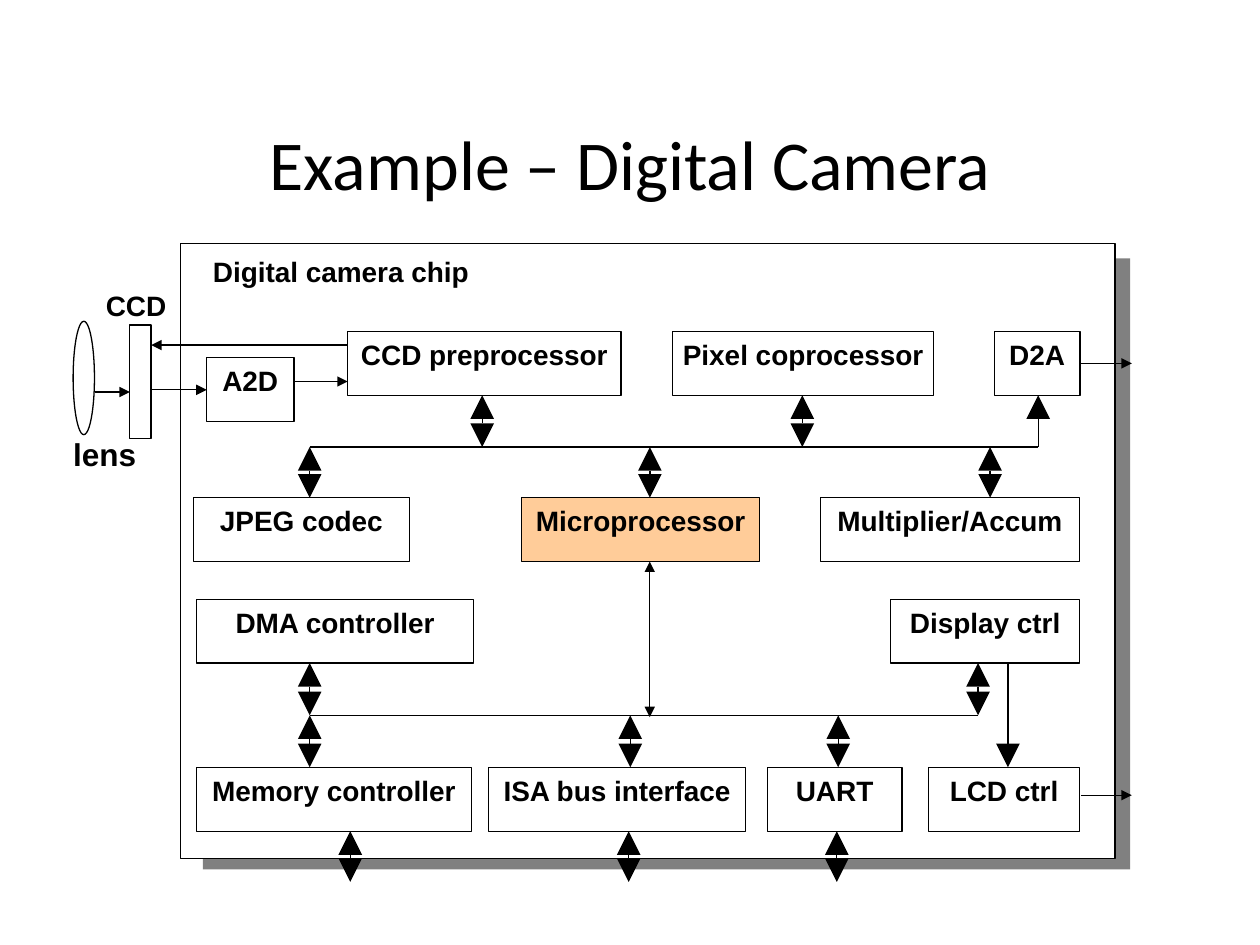
from dataclasses import dataclass

from lxml.etree import SubElement
from pptx import Presentation
from pptx.dml.color import RGBColor
from pptx.enum.shapes import MSO_CONNECTOR as Connector, MSO_SHAPE as Shape
from pptx.enum.text import MSO_ANCHOR as Anchor, PP_ALIGN as Align
from pptx.oxml.ns import qn
from pptx.util import Pt


@dataclass(frozen=True)
class Theme:
    ink: RGBColor = RGBColor(0, 0, 0)
    paper: RGBColor = RGBColor(255, 255, 255)
    shade: RGBColor = RGBColor(0x80, 0x80, 0x80)
    accent: RGBColor = RGBColor(0xFF, 0xCC, 0x99)
    title_font: str = "Calibri"
    label_font: str = "Arial"
    title_size: int = 40
    label_size: int = 16
    lens_size: int = 18
    stroke: float = 0.75


THEME = Theme()

# Vertical rhythm: block rows, and the two buses between them
ROW_1, ROW_2, ROW_3, ROW_4 = 189.4, 284.4, 342.4, 438.5
BLOCK_HEIGHT = 36.5
BUS_1, BUS_2 = 255.5, 408.8
HEAD = 13.5
OUTLET = 504

TITLE = "Example – Digital Camera"
CHIP_SHADOW = (115.9, 147.6, 529.9, 349.2)
CHIP = (103, 139, 534.2, 351.4)
LENS = (41.8, 183.6, 12.2, 64.8)
SENSOR = (74.2, 185.8, 12.2, 64.8)

# name: left, top, width
BLOCKS = {
    "CCD preprocessor": (198.7, ROW_1, 156.2),
    "Pixel coprocessor": (384.5, ROW_1, 149),
    "D2A": (568.1, ROW_1, 49),
    "A2D": (118.1, 204.5, 49.9),
    "JPEG codec": (110.4, ROW_2, 123.7),
    "Microprocessor": (298.1, ROW_2, 136.1),
    "Multiplier/Accum": (468.7, ROW_2, 148.3),
    "DMA controller": (112.3, ROW_3, 158.4),
    "Display ctrl": (509, ROW_3, 108),
    "Memory controller": (112.3, ROW_4, 157),
    "ISA bus interface": (279.2, ROW_4, 146.9),
    "UART": (438.5, ROW_4, 77),
    "LCD ctrl": (530.6, ROW_4, 86.4),
}
FEATURED = "Microprocessor"

# text, left, top, width, height, size
LABELS = [
    ("Digital camera chip", 121.7, 145.6, 147, 19.4, THEME.label_size),
    ("CCD", 60.5, 164.9, 39, 19.4, THEME.label_size),
    ("lens", 41.8, 248.6, 36, 21.6, THEME.lens_size),
]

# left, right, height
BUSES = [(177, 593.3, BUS_1), (177, 558.7, BUS_2)]

# top, bottom, positions along the row
TWO_WAY_LINKS = [
    (ROW_1 + BLOCK_HEIGHT, BUS_1, [275.6, 458.5]),
    (BUS_1, ROW_2, [177, 371.4, 565.8]),
    (ROW_3 + BLOCK_HEIGHT, BUS_2, [177, 558.9]),
    (BUS_2, ROW_4, [177, 360.2, 479]),
    (ROW_4 + BLOCK_HEIGHT, OUTLET, [200.2, 359.3, 478.2]),
]

# start, end, two-way
SIGNALS = [
    ((168.3, 218), (198.7, 218), False),
    ((54, 224), (74.2, 224), False),
    ((198.7, 197.2), (86.4, 197.2), False),
    ((371.3, ROW_2 + BLOCK_HEIGHT), (371.3, 409.8), True),
    ((618, 454.4), (646.8, 454.4), False),
]


def write(frame, text, size, font, align, bold=True):
    frame.margin_left = frame.margin_right = 0
    paragraph = frame.paragraphs[0]
    paragraph.alignment = align
    run = paragraph.add_run()
    run.text = text
    run.font.size, run.font.bold, run.font.name = Pt(size), bold, font
    run.font.color.rgb = THEME.ink


def paint(shape, fill=None, outlined=True):
    shape.shadow.inherit = False
    if fill is None:
        shape.fill.background()
    else:
        shape.fill.solid()
        shape.fill.fore_color.rgb = fill
    if outlined:
        shape.line.color.rgb = THEME.ink
        shape.line.width = Pt(THEME.stroke)
    else:
        shape.line.fill.background()


def add_part(shapes, kind, box, fill=None, outlined=True):
    part = shapes.add_shape(kind, *map(Pt, box))
    paint(part, fill, outlined)
    return part


def add_text(shapes, text, box, size, font, align, wrap, bold=True):
    frame = shapes.add_textbox(*map(Pt, box)).text_frame
    frame.word_wrap = wrap
    frame.margin_top = frame.margin_bottom = 0
    write(frame, text, size, font, align, bold)
    return frame


def add_block(shapes, name, left, top, width):
    block = add_part(shapes, Shape.RECTANGLE, (left, top, width, BLOCK_HEIGHT),
                     THEME.accent if name == FEATURED else None)
    block.text_frame.word_wrap = True
    block.text_frame.vertical_anchor = Anchor.TOP
    write(block.text_frame, name, THEME.label_size, THEME.label_font, Align.CENTER)
    return block


def add_line(shapes, start, end, *arrow_ends):
    """Draw a straight line; arrow_ends may hold headEnd and tailEnd."""
    line = shapes.add_connector(Connector.STRAIGHT, *map(Pt, (*start, *end)))
    line.line.color.rgb = THEME.ink
    line.line.width = Pt(THEME.stroke)
    outline = line.line._get_or_add_ln()
    for arrow_end in arrow_ends:
        SubElement(outline, qn(f"a:{arrow_end}"), type="triangle")
    SubElement(line._element.spPr, qn("a:effectLst"))
    return line


def add_head(shapes, x, tip, base):
    builder = shapes.build_freeform(Pt(x), Pt(tip))
    corners = [(Pt(x + side * HEAD / 2), Pt(base)) for side in (-1, 1)]
    builder.add_line_segments(corners, close=True)
    paint(builder.convert_to_shape(), THEME.ink, outlined=False)


def add_bus_link(shapes, x, top, bottom, up=True, down=True):
    """Draw a vertical link with broad solid heads at the chosen ends."""
    line_top = top + HEAD if up else top
    line_bottom = bottom - HEAD if down else bottom
    add_line(shapes, (x, line_top), (x, line_bottom))
    if up:
        add_head(shapes, x, top, line_top)
    if down:
        add_head(shapes, x, bottom, line_bottom)


def main():
    deck = Presentation()
    deck.slide_width, deck.slide_height = Pt(720), Pt(540)
    shapes = deck.slides.add_slide(deck.slide_layouts[6]).shapes

    heading = add_text(shapes, TITLE, (36, 48, 648, 90), THEME.title_size,
                       THEME.title_font, Align.CENTER, wrap=True, bold=False)
    heading.vertical_anchor = Anchor.MIDDLE

    add_part(shapes, Shape.RECTANGLE, CHIP_SHADOW, THEME.shade, outlined=False)
    add_part(shapes, Shape.RECTANGLE, CHIP, THEME.paper)
    blocks = {name: add_block(shapes, name, *place) for name, place in BLOCKS.items()}
    add_part(shapes, Shape.OVAL, LENS, THEME.paper)
    add_part(shapes, Shape.RECTANGLE, SENSOR, THEME.paper)
    for text, *box, size in LABELS:
        add_text(shapes, text, box, size, THEME.label_font, Align.LEFT, wrap=False)

    for left, right, y in BUSES:
        add_line(shapes, (left, y), (right, y))
    for top, bottom, positions in TWO_WAY_LINKS:
        for x in positions:
            add_bus_link(shapes, x, top, bottom)
    add_bus_link(shapes, 593.3, ROW_1 + BLOCK_HEIGHT, BUS_1, down=False)
    add_bus_link(shapes, 576, ROW_3 + BLOCK_HEIGHT, ROW_4, up=False)

    for start, end, two_way in SIGNALS:
        add_line(shapes, start, end, *(["headEnd"] if two_way else []), "tailEnd")
    a2d_middle = BLOCKS["A2D"][1] + BLOCK_HEIGHT / 2
    sensor_out = add_line(shapes, (86.4, a2d_middle), (118.1, a2d_middle), "tailEnd")
    sensor_out.end_connect(blocks["A2D"], 1)
    d2a_middle = ROW_1 + BLOCK_HEIGHT / 2
    analog_out = add_line(shapes, (617.1, d2a_middle), (646.8, d2a_middle), "tailEnd")
    analog_out.begin_connect(blocks["D2A"], 3)

    deck.save("out.pptx")


if __name__ == "__main__":
    main()
